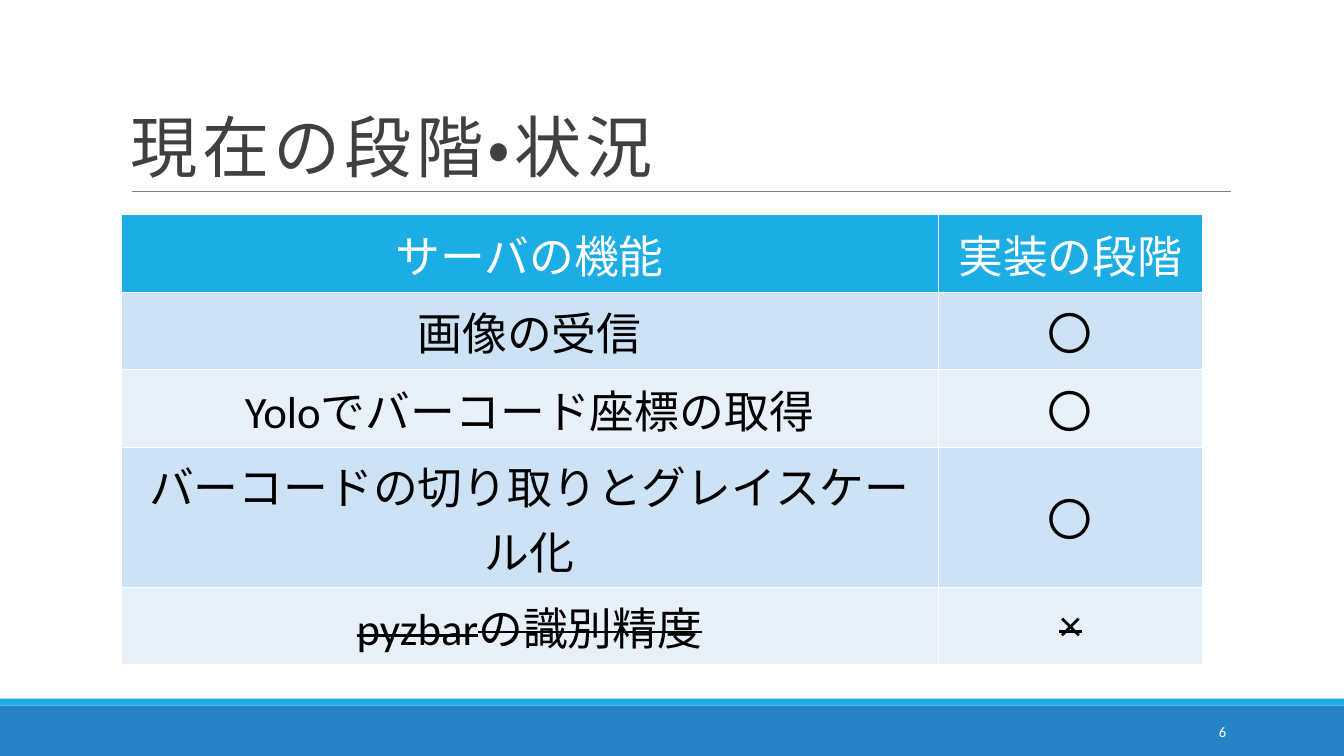
from pptx import Presentation
from pptx.dml.color import RGBColor
from pptx.enum.lang import MSO_LANGUAGE_ID as LANG
from pptx.enum.shapes import MSO_CONNECTOR as CONN, MSO_SHAPE as SHAPE
from pptx.enum.text import MSO_ANCHOR as ANCHOR, PP_ALIGN as ALIGN
from pptx.oxml.ns import qn
from pptx.util import Pt
from lxml.etree import SubElement


def color(value):
    return RGBColor.from_string(value)


def write(p, text, size, ink, align):
    p.alignment = align
    r = p.add_run()
    r.text = text
    fmt = {"name": "Calibri", "size": Pt(size), "language_id": LANG.JAPANESE}
    for key, value in fmt.items():
        setattr(r.font, key, value)
    r.font.color.rgb = color(ink)
    return r


prs = Presentation()
prs.slide_width, prs.slide_height = Pt(960), Pt(540)
s = prs.slides.add_slide(prs.slide_layouts[6])

# Footer bars
for top, height, fill in [(504, 36, "2683C6"), (499, 5, "1CADE4")]:
    sp = s.shapes.add_shape(SHAPE.RECTANGLE, 0, Pt(top), Pt(960), Pt(height))
    sp.shadow.inherit = False
    sp.fill.solid()
    sp.fill.fore_color.rgb = color(fill)
    sp.line.fill.background()

# Rule under the title
rule = s.shapes.add_connector(CONN.STRAIGHT, Pt(94.3), Pt(136.8), Pt(879), Pt(136.8))
rule.line.color.rgb = color("808080")
rule.line.width = Pt(0.5)
SubElement(rule._element.spPr, qn("a:effectLst"))

# Title and slide number
labels = [
    ((86.4, 22.3, 792, 114.5), "現在の段階・状況", 48, "404040", ALIGN.LEFT, ANCHOR.BOTTOM, 0.85, 3),
    ((780, 508.3, 103, 28.8), "6", 10.5, "FFFFFF", ALIGN.RIGHT, ANCHOR.MIDDLE, 1, 0),
]
for box, text, size, ink, align, anchor, leading, tracking in labels:
    tf = s.shapes.add_textbox(*[Pt(v) for v in box]).text_frame
    tf.word_wrap = True
    tf.vertical_anchor = anchor
    p = tf.paragraphs[0]
    p.line_spacing = leading
    r = write(p, text, size, ink, align)
    r.font._element.set("spc", str(tracking * 100))

# Table of server functions and their progress, with one two-line row
one_line, two_lines = 55.4, 100
rows = [
    ("サーバの機能", "実装の段階", one_line),
    ("画像の受信", "〇", one_line),
    ("Yoloでバーコード座標の取得", "〇", one_line),
    ("バーコードの切り取りとグレイスケール化", "〇", two_lines),
    ("pyzbarの識別精度", "×", one_line),
]
table = s.shapes.add_table(len(rows), 2, Pt(86.4), Pt(153.4), Pt(772.6),
                           Pt(sum(height for *_, height in rows))).table
for column, width in zip(table.columns, (583.8, 188.8)):
    column.width = Pt(width)

for i, (*texts, height) in enumerate(rows):
    table.rows[i].height = Pt(height)
    header, dropped = i == 0, i == len(rows) - 1
    fill = "1CADE4" if header else ("E8F1FA", "CDE3F5")[i % 2]
    for j, text in enumerate(texts):
        cell = table.cell(i, j)
        cell.vertical_anchor = ANCHOR.MIDDLE
        r = write(cell.text_frame.paragraphs[0], text, 32,
                  "FFFFFF" if header else "000000", ALIGN.CENTER)
        r.font.bold = False
        if dropped:
            r.font._element.set("strike", "sngStrike")
        # White cell borders
        tcPr = cell._tc.get_or_add_tcPr()
        for side in "LRTB":
            ln = SubElement(tcPr, qn(f"a:ln{side}"), w=str(Pt(1)))
            SubElement(SubElement(ln, qn("a:solidFill")), qn("a:srgbClr"), val="FFFFFF")
        cell.fill.solid()
        cell.fill.fore_color.rgb = color(fill)

prs.save("out.pptx")
